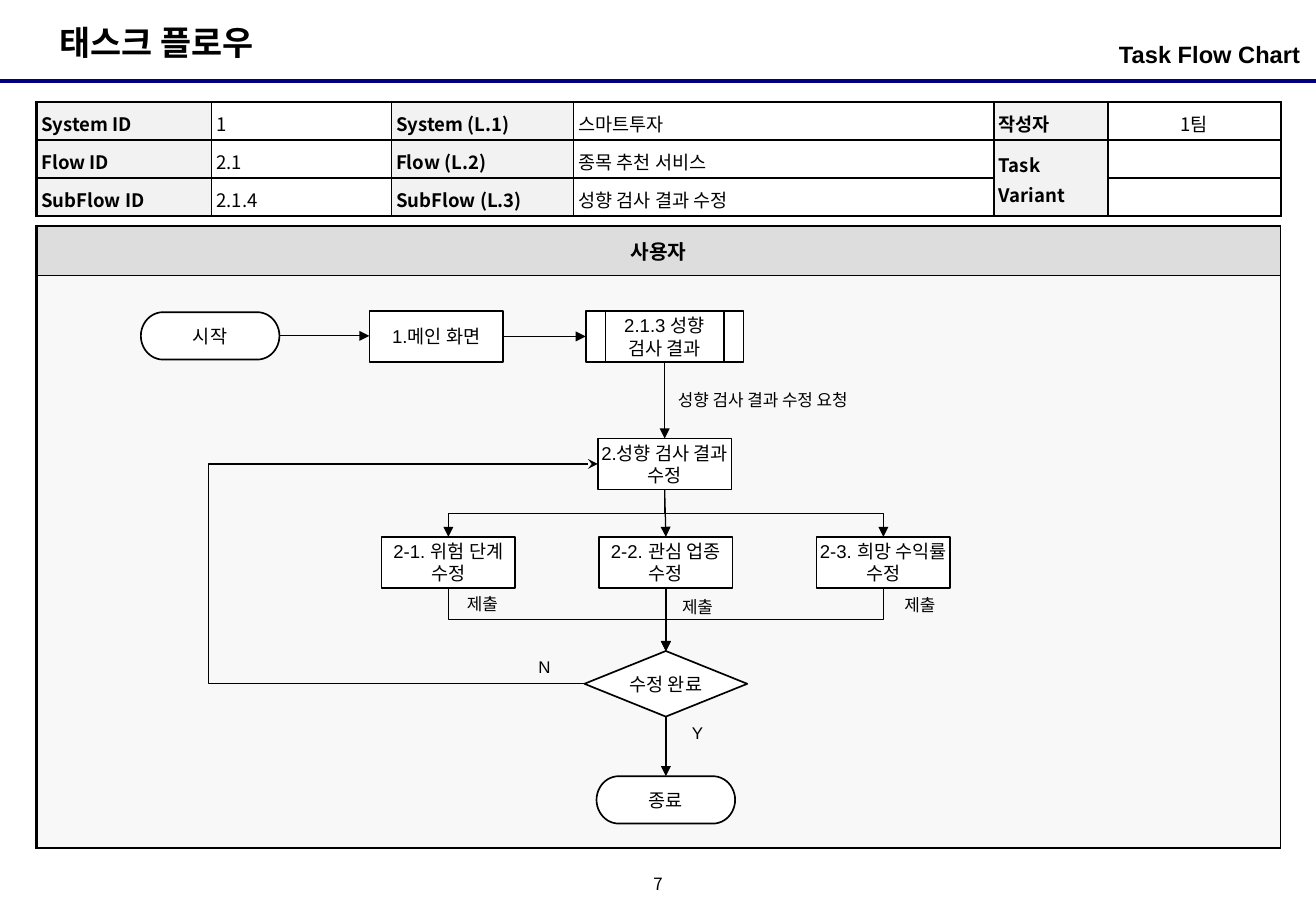
from lxml import etree
from pptx import Presentation
from pptx.dml.color import RGBColor
from pptx.enum.shapes import MSO_CONNECTOR, MSO_SHAPE
from pptx.enum.text import MSO_ANCHOR, PP_ALIGN
from pptx.oxml.ns import qn
from pptx.util import Pt

PX = 9144  # one px is a hundredth of an inch
COLORS = {"black": "000000", "white": "FFFFFF", "navy": "000080",
          "label": "F2F2F2", "header": "DDDDDD", "lane": "F8F8F8"}
KOREAN_FONT = "Noto Sans CJK KR"
LATIN_FONT = "Arial"
LEFT, CENTER, RIGHT = PP_ALIGN.LEFT, PP_ALIGN.CENTER, PP_ALIGN.RIGHT
TOP, MIDDLE = MSO_ANCHOR.TOP, MSO_ANCHOR.MIDDLE
STRAIGHT, ELBOW = MSO_CONNECTOR.STRAIGHT, MSO_CONNECTOR.ELBOW
TERMINATOR = MSO_SHAPE.FLOWCHART_TERMINATOR
PROCESS = MSO_SHAPE.RECTANGLE
PREDEFINED = MSO_SHAPE.FLOWCHART_PREDEFINED_PROCESS
DECISION = MSO_SHAPE.FLOWCHART_DECISION

INFO_COLUMNS = [144, 148, 150, 346, 94, 142]
INFO_ROWS = [
    ["System ID", "1", "System (L.1)", "스마트투자", "작성자", "1팀"],
    ["Flow ID", "2.1", "Flow (L.2)", "종목 추천 서비스", "Task Variant", ""],
    ["SubFlow ID", "2.1.4", "SubFlow (L.3)", "성향 검사 결과 수정", "", ""],
]
NODES = {
    "start": (TERMINATOR, (116, 257, 114, 39), "시작"),
    "main": (PROCESS, (304, 256, 110, 42), "1.메인 화면"),
    "result": (PREDEFINED, (482, 256, 130, 42), "2.1.3 성향 검사 결과"),
    "edit": (PROCESS, (492, 361, 110, 42), "2.성향 검사 결과 수정"),
    "risk": (PROCESS, (314, 442, 110, 42), "2-1. 위험 단계 수정"),
    "sector": (PROCESS, (493, 442, 110, 42), "2-2. 관심 업종 수정"),
    "return": (PROCESS, (672, 442, 110, 42), "2-3. 희망 수익률 수정"),
    "done": (DECISION, (481, 536, 134, 54), "수정 완료"),
    "end": (TERMINATOR, (491, 639, 114, 39), "종료"),
}
LABELS = [
    ("성향 검사 결과 수정 요청", (548, 316, 182, 27), LEFT),
    ("제출", (370, 484, 54, 27), CENTER),
    ("제출", (547, 486, 54, 27), CENTER),
    ("제출", (730, 485, 54, 27), CENTER),
    ("Y", (547, 590, 54, 27), CENTER),
    ("N", (421, 536, 54, 27), CENTER),
]
LOOP_X = 171


def emu(*lengths):
    return [round(length * PX) for length in lengths]


def rgb(name):
    return RGBColor.from_string(COLORS[name])


def set_attributes(target, values):
    for name, value in values.items():
        setattr(target, name, value)


def write_text(frame, text, size, align=LEFT, bold=False, font=LATIN_FONT, spacing=1.0):
    paragraph = frame.paragraphs[0]
    set_attributes(paragraph, {"alignment": align, "line_spacing": spacing})
    if not text:
        paragraph._p.get_or_add_endParaRPr().set("sz", str(size * 100))
        return
    run = paragraph.add_run()
    run.text = text
    set_attributes(run.font, {"size": Pt(size), "bold": bold, "name": font})
    run.font.color.rgb = rgb("black")
    east_asian = etree.SubElement(run._r.get_or_add_rPr(), qn("a:ea"))
    east_asian.set("typeface", KOREAN_FONT)


def set_frame(frame, insets, anchor=TOP):
    horizontal, vertical = emu(*insets)
    set_attributes(frame, {"word_wrap": True, "vertical_anchor": anchor,
                           "margin_left": horizontal, "margin_right": horizontal,
                           "margin_top": vertical, "margin_bottom": vertical})


def add_label(slide, text, box, size, insets=(10, 5), anchor=TOP, **text_format):
    frame = slide.shapes.add_textbox(*emu(*box)).text_frame
    set_frame(frame, insets, anchor)
    write_text(frame, text, size, **text_format)


def add_node(slide, kind, box, text):
    shape = slide.shapes.add_shape(kind, *emu(*box))
    shape.shadow.inherit = False
    shape.fill.solid()
    shape.fill.fore_color.rgb = rgb("white")
    shape.line.color.rgb = rgb("black")
    shape.line.width = Pt(1)
    set_frame(shape.text_frame, (2, 0), MIDDLE)
    write_text(shape.text_frame, text, 11, align=CENTER)


def add_line(slide, start, end, kind=STRAIGHT, color="black", width=0.75, head="triangle"):
    connector = slide.shapes.add_connector(kind, *emu(*start, *end))
    connector.line.color.rgb = rgb(color)
    connector.line.width = Pt(width)
    if head:
        etree.SubElement(connector.line._get_or_add_ln(), qn("a:tailEnd")).set("type", head)
    etree.SubElement(connector._element.spPr, qn("a:effectLst"))
    return connector


def add_drop(slide, start, end):
    """Add an elbow that leaves downwards, runs sideways and arrives downwards."""
    (x1, y1), (x2, y2) = start, end
    length, spread = y2 - y1, abs(x2 - x1)
    left, top = (x1 + x2 - length) / 2, (y1 + y2 - spread) / 2
    connector = add_line(slide, (left, top), (left + length, top + spread), ELBOW)
    transform = connector._element.spPr.find(qn("a:xfrm"))
    transform.set("rot", str((270 if x2 > x1 else 90) * 60000))
    if x2 > x1:
        transform.set("flipH", "1")


def add_loop(slide, start, end, loop_x):
    """Add an elbow that turns at loop_x, outside the span of its ends."""
    connector = add_line(slide, start, end, ELBOW, head="stealth")
    guides = connector._element.spPr.find(qn("a:prstGeom")).get_or_add_avLst()
    ratio = (loop_x - start[0]) / (end[0] - start[0])
    guide = etree.SubElement(guides, qn("a:gd"))
    guide.set("name", "adj1")
    guide.set("fmla", f"val {round(ratio * 100000)}")


def add_plain_table(slide, box, widths, heights):
    table = slide.shapes.add_table(len(heights), len(widths), *emu(*box)).table
    set_attributes(table, {"first_row": False, "horz_banding": False})
    for column, width in zip(table.columns, emu(*widths)):
        column.width = width
    for row, height in zip(table.rows, emu(*heights)):
        row.height = height
    return table


def format_cell(cell, fill, borders, insets, anchor):
    """Set borders (left, right, top, bottom, in points), fill and margins."""
    properties = cell._tc.get_or_add_tcPr()
    for side, width in zip("LRTB", borders):
        line = etree.SubElement(properties, qn(f"a:ln{side}"), w=str(Pt(width)))
        solid = etree.SubElement(line, qn("a:solidFill"))
        etree.SubElement(solid, qn("a:srgbClr"), val=COLORS["black"])
    if fill:
        cell.fill.solid()
        cell.fill.fore_color.rgb = rgb(fill)
    else:
        cell.fill.background()
    horizontal, vertical = emu(*insets)
    set_attributes(cell, {"vertical_anchor": anchor,
                          "margin_left": horizontal, "margin_right": horizontal,
                          "margin_top": vertical, "margin_bottom": vertical})


def add_info_table(slide):
    heights = [31.33] * len(INFO_ROWS)
    table = add_plain_table(slide, (30, 84, 1024, 94), INFO_COLUMNS, heights)
    table.cell(1, 4).merge(table.cell(2, 4))
    last_row, last_column = len(INFO_ROWS) - 1, len(INFO_COLUMNS) - 1
    for row, texts in enumerate(INFO_ROWS):
        for column, text in enumerate(texts):
            cell = table.cell(row, column)
            is_label = column % 2 == 0
            at_bottom = row == last_row or cell.is_merge_origin
            edges = (column == 0, column == last_column, row == 0, at_bottom)
            borders = [1.5 if edge else 1 for edge in edges]
            format_cell(cell, "label" if is_label else None, borders, (4, 4),
                        MIDDLE if column >= 4 else TOP)
            write_text(cell.text_frame, text, 11, CENTER if column == last_column else LEFT,
                       is_label, KOREAN_FONT, 1.1)


def add_lane_table(slide):
    table = add_plain_table(slide, (30, 186, 1024, 512), [1024], [41, 471])
    header, lane = table.cell(0, 0), table.cell(1, 0)
    format_cell(header, "header", (1.5, 0.75, 1.5, 0.75), (10, 5), MIDDLE)
    write_text(header.text_frame, "사용자", 12, CENTER, bold=True)
    format_cell(lane, "lane", (1.5, 0.75, 0.75, 1.5), (10, 5), TOP)


def side(name, across, down):
    """Return the point of a node at the given fractions of its box."""
    left, top, width, height = NODES[name][1]
    return left + width * across, top + height * down


def add_flow(slide):
    for kind, box, text in NODES.values():
        add_node(slide, kind, box, text)
    for source, target in [("start", "main"), ("main", "result")]:
        start = side(source, 1, 0.5)
        add_line(slide, start, (side(target, 0, 0.5)[0], start[1]))
    for source, target in [("result", "edit"), ("edit", "sector"),
                           ("sector", "done"), ("done", "end")]:
        add_line(slide, side(source, 0.5, 1), side(target, 0.5, 0))
    for branch in ("risk", "return"):
        add_drop(slide, side("edit", 0.5, 1), side(branch, 0.5, 0))
        add_drop(slide, side(branch, 0.5, 1), side("done", 0.5, 0))
    add_loop(slide, side("done", 0, 0.5), side("edit", 0, 0.5), LOOP_X)
    for text, box, align in LABELS:
        add_label(slide, text, box, 10, align=align)


def main():
    presentation = Presentation()
    presentation.slide_width, presentation.slide_height = emu(1083, 750)
    slide = presentation.slides.add_slide(presentation.slide_layouts[6])
    add_line(slide, (0, 67), (1083, 67), color="navy", width=2.25, head=None)
    add_label(slide, "태스크 플로우", (39, 13, 198, 44), 20, bold=True)
    add_label(slide, "Task Flow Chart", (739, 28, 331, 39), 14, (0, 5), align=RIGHT, bold=True)
    add_lane_table(slide)
    add_info_table(slide)
    add_flow(slide)
    add_label(slide, "7", (525, 717, 33, 25), 10, (0, 0), MIDDLE,
              align=CENTER, font=KOREAN_FONT, spacing=0.8)
    presentation.save("out.pptx")


if __name__ == "__main__":
    main()
